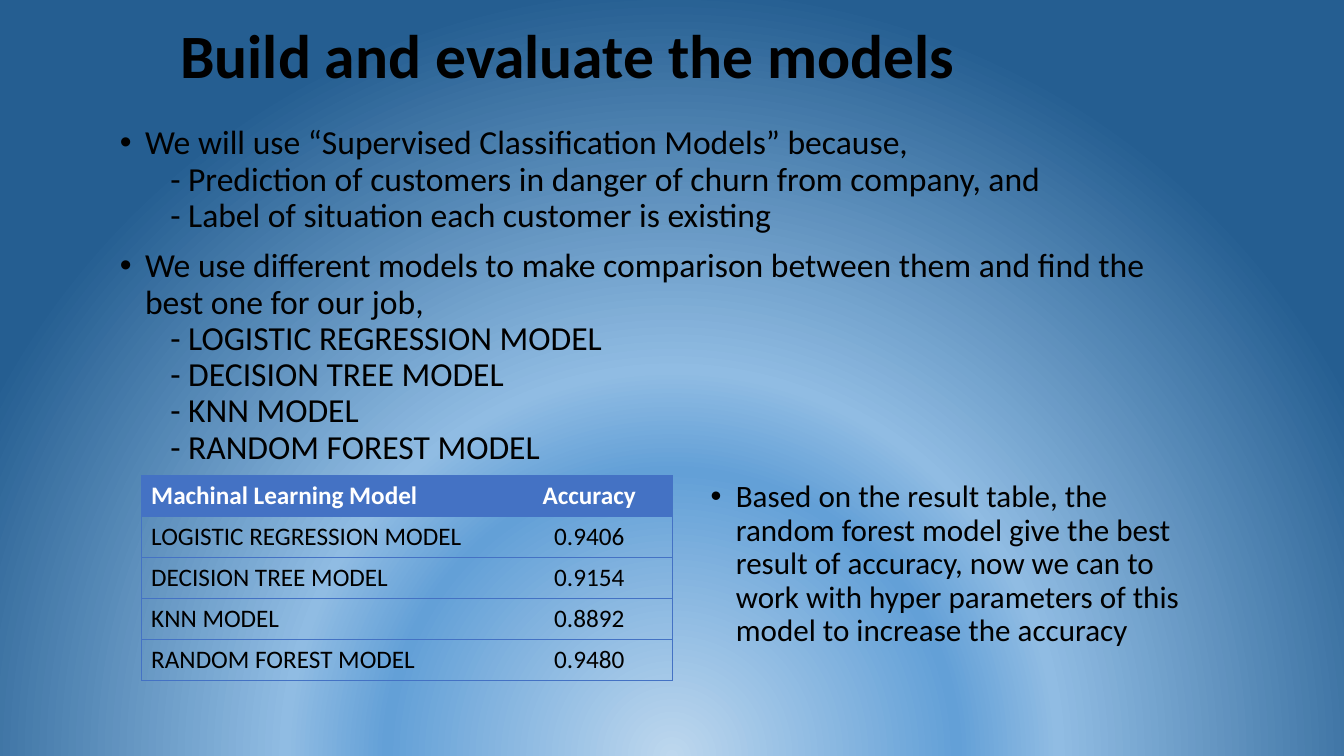
import lxml.etree
import pptx
import pptx.dml.color
import pptx.enum.text
import pptx.oxml
import pptx.oxml.ns
import pptx.util

Inches = pptx.util.Inches
qn = pptx.oxml.ns.qn
Anchor = pptx.enum.text.MSO_ANCHOR
Align = pptx.enum.text.PP_ALIGN

THEME = {
    "font": "Calibri",
    "black": "000000",
    "white": "FFFFFF",
    "accent": "4472C4",
    "glow": [(0, "BDD7EE"), (37, "63A0D7"), (50, "90BCE3"), (100, "255E91")],
    "title": 44,
    "body": 24,
    "remark": 22.2,
    "table": 18,
}


def write(para, text, size, color=THEME["black"], bold=False):
    """Fill a paragraph; a newline in the text becomes a line break."""
    para.text = text.replace("\n", "\v")
    for span in para.runs:
        looks = {"name": THEME["font"], "size": pptx.util.Pt(size), "bold": bold}
        for name, value in looks.items():
            setattr(span.font, name, value)
        span.font.color.rgb = pptx.dml.color.RGBColor.from_string(color)


def add_text(page, place, texts, size, bullet=True, bold=False, anchor=Anchor.TOP):
    box = page.shapes.add_textbox(*[Inches(length) for length in place])
    box.text_frame.word_wrap = True
    box.text_frame.vertical_anchor = anchor
    for index, text in enumerate(texts):
        para = box.text_frame.add_paragraph() if index else box.text_frame.paragraphs[0]
        write(para, text, size, bold=bold)
        para.line_spacing = 0.9
        if bullet:
            para.space_before = pptx.util.Pt(10)
            properties = para._p.get_or_add_pPr()
            properties.set("marL", str(Inches(0.25)))
            properties.set("indent", str(Inches(-0.25)))
            lxml.etree.SubElement(properties, qn("a:buFont"), typeface="Arial")
            lxml.etree.SubElement(properties, qn("a:buChar"), char="•")


deck = pptx.Presentation()
deck.slide_width, deck.slide_height = Inches(13.33), Inches(7.5)
page = deck.slides.add_slide(deck.slide_layouts[6])

# Radial background, centred below the slide
page.background.fill.gradient()
gradient = page.background._cSld.find(".//" + qn("a:gradFill"))
for child in list(gradient):
    gradient.remove(child)
stops = lxml.etree.SubElement(gradient, qn("a:gsLst"))
for position, color in THEME["glow"]:
    stop = lxml.etree.SubElement(stops, qn("a:gs"), pos=str(position * 1000))
    lxml.etree.SubElement(stop, qn("a:srgbClr"), val=color)
circle = lxml.etree.SubElement(gradient, qn("a:path"))
circle.set("path", "circle")
lxml.etree.SubElement(
    circle, qn("a:fillToRect"), l="50000", t="130000", r="50000", b="-30000"
)

add_text(page, (1.69, 0.17, 8.05, 0.82), ["Build and evaluate the models"],
         THEME["title"], bullet=False, bold=True, anchor=Anchor.MIDDLE)

results = [
    ("LOGISTIC REGRESSION MODEL", "0.9406"),
    ("DECISION TREE MODEL", "0.9154"),
    ("KNN MODEL", "0.8892"),
    ("RANDOM FOREST MODEL", "0.9480"),
]
reasons = [
    "Prediction of customers in danger of churn from company, and",
    "Label of situation each customer is existing",
]
models = [model for model, accuracy in results]
points = [
    ("We will use “Supervised Classification Models” because,", reasons),
    ("We use different models to make comparison between them "
     "and find the best one for our job,", models),
]
add_text(page, (1.09, 1.2, 10.39, 3.52),
         ["\n\t- ".join([lead, *details]) for lead, details in points], THEME["body"])

# Accuracy table: horizontal rules and an outer frame
rows = [("Machinal Learning Model", "Accuracy"), *results]
table = page.shapes.add_table(
    len(rows), 2, Inches(1.4), Inches(4.72), Inches(5.27), Inches(2.03)
).table
for column, width in zip(table.columns, (3.62, 1.65)):
    column.width = Inches(width)
for row_index, row in enumerate(rows):
    header = row_index == 0
    for column_index, text in enumerate(row):
        cell = table.cell(row_index, column_index)
        para = cell.text_frame.paragraphs[0]
        write(para, text, THEME["table"],
              THEME["white"] if header else THEME["black"], header)
        para.alignment = Align.CENTER if column_index else Align.LEFT
        inner_side = "a:lnL" if column_index else "a:lnR"
        for side in ("a:lnL", "a:lnR", "a:lnT", "a:lnB"):
            border = lxml.etree.SubElement(
                cell._tc.get_or_add_tcPr(), qn(side), w=str(pptx.util.Pt(0.5)))
            if side == inner_side:
                lxml.etree.SubElement(border, qn("a:noFill"))
            else:
                paint = lxml.etree.SubElement(border, qn("a:solidFill"))
                lxml.etree.SubElement(paint, qn("a:srgbClr"), val=THEME["accent"])
        if header:
            cell.fill.solid()
            cell.fill.fore_color.rgb = pptx.dml.color.RGBColor.from_string(THEME["accent"])
        else:
            cell.fill.background()

add_text(page, (6.95, 4.72, 4.98, 2.03),
         ["Based on the result table, the random forest model give the best result "
          "of accuracy, now we can to work with hyper parameters of this model to "
          "increase the accuracy"], THEME["remark"])

deck.save("out.pptx")
